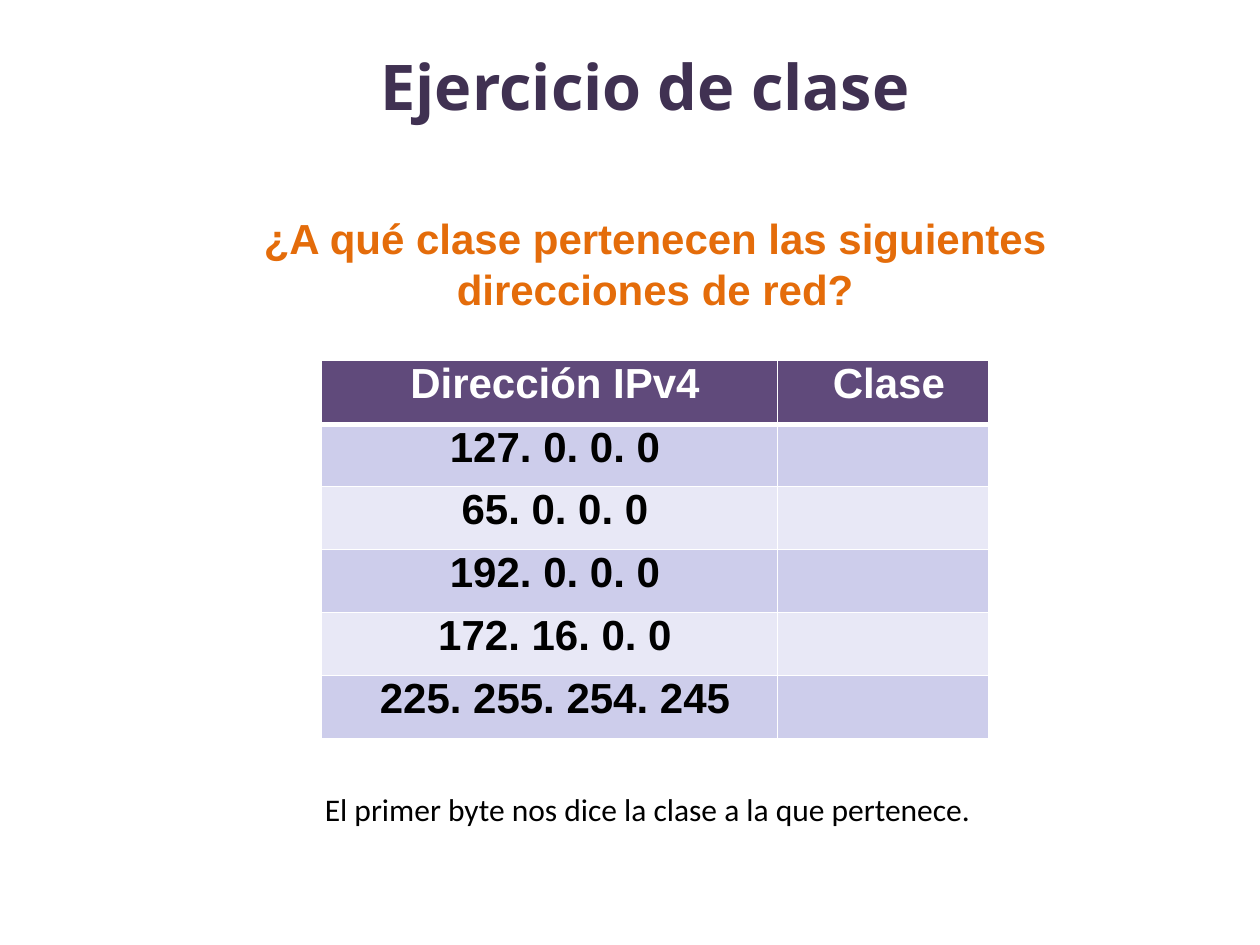
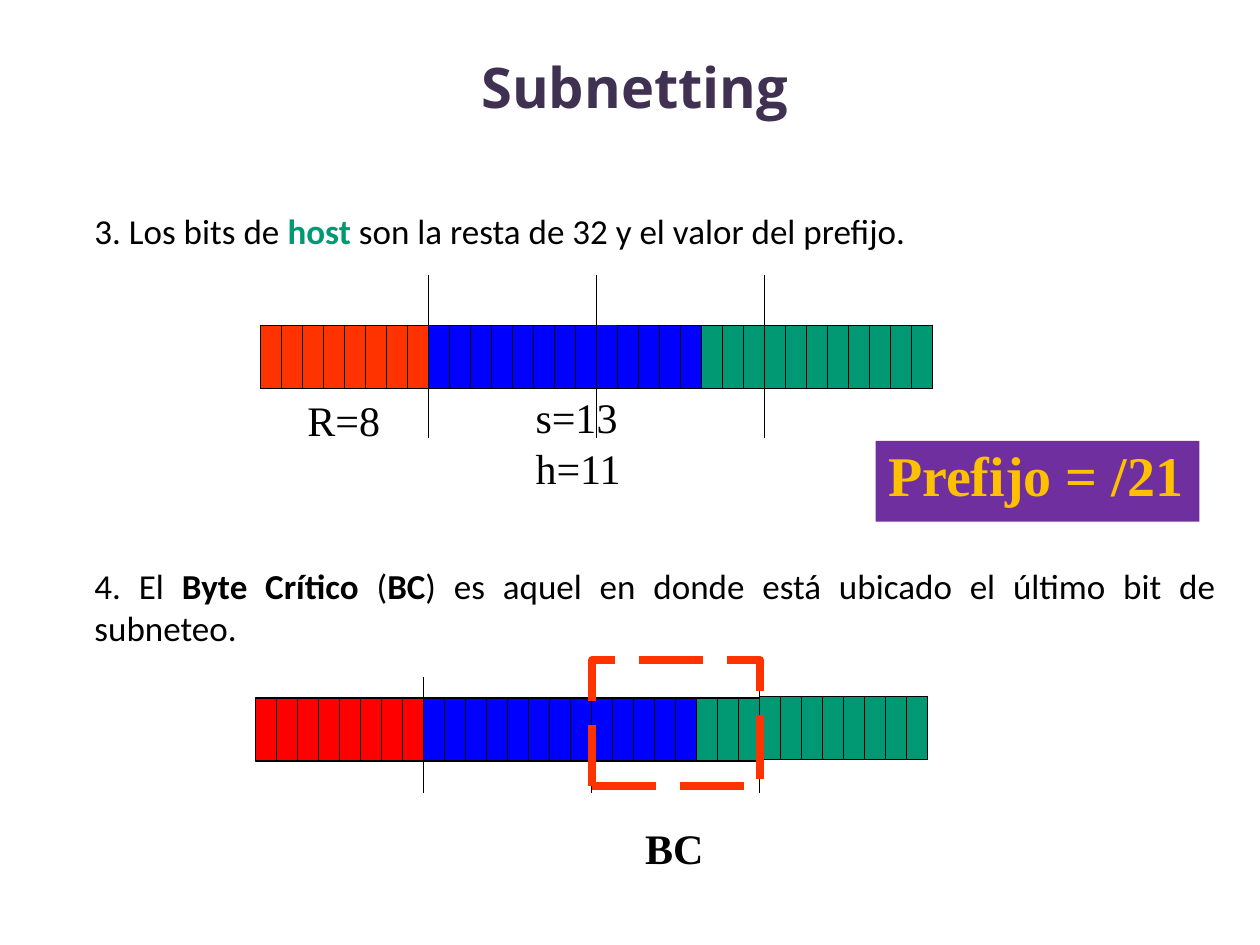
from dataclasses import dataclass

from lxml.etree import SubElement
from pptx import Presentation
from pptx.dml.color import RGBColor
from pptx.enum.dml import MSO_LINE
from pptx.enum.shapes import MSO_CONNECTOR as Connector, MSO_SHAPE as Preset
from pptx.enum.text import MSO_ANCHOR as Anchor, MSO_AUTO_SIZE as AutoSize, PP_ALIGN as Align
from pptx.oxml.ns import qn
from pptx.util import Inches, Pt


@dataclass(frozen=True)
class Theme:
    title: str = "403152"
    question: str = "E46C0A"
    header: str = "604A7B"
    bands: tuple = ("CDCDEB", "E8E8F6")
    black: str = "000000"
    white: str = "FFFFFF"
    orange: str = "FF3300"
    red: str = "FF0000"
    blue: str = "0000FF"
    green: str = "009973"
    badge: str = "6F2F9F"
    gold: str = "FFC000"
    heading_font: str = "Open Sans"
    table_font: str = "Arial"
    body_font: str = "Calibri"
    label_font: str = "Times New Roman"
    title_size: int = 36
    large: int = 32
    medium: int = 24
    body: int = 20
    small: int = 18
    rule: float = 0.72
    frame: float = 4.56


THEME = Theme()
BIT = 1 / 6
BYTE = 8 * BIT
NO_STYLE = "{2D5ABB26-0587-4C30-8999-92F81FD0307C}"


@dataclass(frozen=True)
class Area:
    left: float
    top: float
    width: float
    height: float

    def lengths(self) -> tuple:
        return tuple(Inches(value) for value in (self.left, self.top, self.width, self.height))


@dataclass(frozen=True)
class Style:
    font: str
    size: int
    color: str = THEME.black
    bold: bool = False


@dataclass(frozen=True)
class Span:
    text: str
    style: Style


@dataclass(frozen=True)
class BitGroup:
    count: int
    color: str
    top: float


def rgb(color: str) -> RGBColor:
    return RGBColor.from_string(color)


def apply(target, values: dict) -> None:
    for name, value in values.items():
        setattr(target, name, value)


def write(frame, lines: list, align=Align.LEFT) -> None:
    for number, spans in enumerate(lines):
        para = frame.add_paragraph() if number else frame.paragraphs[0]
        para.alignment = align
        for span in spans:
            run = para.add_run()
            run.text = span.text
            style = span.style
            apply(run.font, {"name": style.font, "size": Pt(style.size), "bold": style.bold})
            run.font.color.rgb = rgb(style.color)


def set_frame(frame, insets: tuple, anchor=Anchor.TOP, auto_size=AutoSize.SHAPE_TO_FIT_TEXT) -> None:
    sides = ("margin_left", "margin_top", "margin_right", "margin_bottom")
    apply(frame, {"word_wrap": True, "auto_size": auto_size, "vertical_anchor": anchor})
    apply(frame, {side: Inches(inset) for side, inset in zip(sides, insets)})


def add_text(page, area: Area, *lines: list, align=Align.LEFT, insets=(0, 0, 0, 0)) -> None:
    frame = page.shapes.add_textbox(*area.lengths()).text_frame
    set_frame(frame, insets)
    write(frame, list(lines), align)


def add_title(page, text: str, area: Area, size: int) -> None:
    frame = page.shapes.add_textbox(*area.lengths()).text_frame
    set_frame(frame, (0.22, 0.05, 0.1, 0.05), Anchor.MIDDLE, AutoSize.NONE)
    write(frame, [[Span(text, Style(THEME.heading_font, size, THEME.title, True))]], Align.CENTER)


def add_rule(page, x: float, top: float, bottom: float) -> None:
    ends = [Inches(value) for value in (x, top, x, bottom)]
    rule = page.shapes.add_connector(Connector.STRAIGHT, *ends)
    rule.line.color.rgb = rgb(THEME.black)
    rule.line.width = Pt(THEME.rule)
    SubElement(rule.element.spPr, qn("a:effectLst"))


def add_rectangle(page, area: Area, fill: str, line: str = ""):
    box = page.shapes.add_shape(Preset.RECTANGLE, *area.lengths())
    box.shadow.inherit = False
    box.fill.solid()
    box.fill.fore_color.rgb = rgb(fill)
    if line:
        box.line.color.rgb = rgb(line)
        box.line.width = Pt(THEME.rule)
    else:
        box.line.fill.background()
    return box


def add_plain_table(page, area: Area, widths: list, heights: list):
    holder = page.shapes.add_table(len(heights), len(widths), *area.lengths())
    for style in holder.element.iter(qn("a:tableStyleId")):
        style.text = NO_STYLE
    table = holder.table
    apply(table, {"first_row": False, "horz_banding": False})
    for column, width in zip(table.columns, widths):
        column.width = Inches(width)
    for row, height in zip(table.rows, heights):
        row.height = Inches(height)
    for cell in table.iter_cells():
        apply(cell, {"margin_left": 0, "margin_top": 0, "margin_right": 0, "margin_bottom": 0})
    return table


def format_cell(cell, borders: dict, color: str, fill: str = "") -> None:
    properties = cell._tc.get_or_add_tcPr()
    for side in "LRTB":
        if side in borders:
            line = SubElement(properties, qn(f"a:ln{side}"), w=str(Pt(borders[side])))
            solid = SubElement(line, qn("a:solidFill"))
            SubElement(solid, qn("a:srgbClr"), val=color)
    if fill:
        cell.fill.solid()
        cell.fill.fore_color.rgb = rgb(fill)


def add_address_table(page) -> None:
    rows = [("Dirección IPv4", "Clase")]
    addresses = ("127. 0. 0. 0", "65. 0. 0. 0", "192. 0. 0. 0", "172. 16. 0. 0", "225. 255. 254. 245")
    rows += [(address, "") for address in addresses]
    table = add_plain_table(page, Area(2.55, 2.86, 5.3, 3), [3.62, 1.68], [0.51, 0.49] + [0.5] * 4)
    for row, texts in enumerate(rows):
        fill = THEME.bands[(row - 1) % 2] if row else THEME.header
        color = THEME.black if row else THEME.white
        borders = {"L": 1, "R": 1, "T": 3 if row == 1 else 1, "B": 1 if row else 3}
        for column, text in enumerate(texts):
            cell = table.cell(row, column)
            cell.margin_left = Inches(0.09)
            format_cell(cell, borders, THEME.white, fill)
            if text:
                style = Style(THEME.table_font, THEME.medium, color, True)
                write(cell.text_frame, [[Span(text, style)]], Align.CENTER)


def add_bit_table(page) -> None:
    table = add_plain_table(page, Area(2.07, 2.18, 32 * BIT, 1.3), [BIT] * 32, [0.4, 0.5, 0.4])
    fills = [THEME.orange] * 8 + [THEME.blue] * 13 + [THEME.green] * 11
    for column, fill in enumerate(fills):
        sides = "LRB" if column == 16 else "LRTB"
        format_cell(table.cell(1, column), dict.fromkeys(sides, THEME.rule), THEME.black, fill)
    for row in (0, 2):
        for start in range(0, 32, 8):
            cell = table.cell(row, start)
            cell.merge(table.cell(row, start + 7))
            format_cell(cell, {"L": THEME.rule} if start else {}, THEME.black)


def add_bit_strip(page, left: float, groups: list) -> None:
    x = left
    for group in groups:
        add_rectangle(page, Area(x, group.top, group.count * BIT, 0.5), group.color, THEME.black)
        for bit in range(1, group.count):
            add_rule(page, x + bit * BIT, group.top, group.top + 0.5)
        x += group.count * BIT
    for byte in (1, 2, 3):
        add_rule(page, left + byte * BYTE, 5.37, 6.29)


def add_critical_frame(page, area: Area) -> None:
    left, top, width, height = area.lengths()
    builder = page.shapes.build_freeform(left, top + height)
    corners = [(left + width, top + height), (left + width, top), (left, top)]
    builder.add_line_segments(corners, close=True)
    frame = builder.convert_to_shape()
    frame.shadow.inherit = False
    frame.fill.background()
    frame.line.color.rgb = rgb(THEME.orange)
    apply(frame.line, {"width": Pt(THEME.frame), "dash_style": MSO_LINE.LONG_DASH})


def build_exercise(page) -> None:
    question = Style(THEME.table_font, THEME.medium, THEME.question, True)
    add_text(page, Area(2.01, 1.69, 6.38, 0.81),
             [Span("¿A qué clase pertenecen las siguientes direcciones de red?", question)],
             align=Align.CENTER)
    add_address_table(page)
    add_title(page, "Ejercicio de clase", Area(0.16, 0.05, 9.8, 1.25), THEME.title_size)
    hint = Style(THEME.body_font, THEME.small)
    add_text(page, Area(2.48, 6.22, 6.46, 0.4),
             [Span("El primer byte nos dice la clase a la que pertenece.", hint)],
             insets=(0.1, 0.05, 0.1, 0.05))


def build_subnetting(page) -> None:
    plain = Style(THEME.body_font, THEME.body)
    strong = Style(THEME.body_font, THEME.body, bold=True)
    host = Style(THEME.body_font, THEME.body, THEME.green, True)
    label = Style(THEME.label_font, THEME.medium)
    add_text(page, Area(0.75, 1.66, 8.26, 0.34),
             [Span("3. Los bits de ", plain), Span("host ", host),
              Span("son la resta de 32 y el valor del prefijo.", plain)])
    add_text(page, Area(0.75, 4.48, 8.9, 0.67),
             [Span("4. El ", plain), Span("Byte Crítico ", strong), Span("(", plain), Span("BC", strong),
              Span(") es aquel en donde está ubicado el último bit de subneteo.", plain)],
             align=Align.JUSTIFY)
    groups = [BitGroup(8, THEME.red, 5.54), BitGroup(8, THEME.blue, 5.54), BitGroup(5, THEME.blue, 5.54),
              BitGroup(3, THEME.green, 5.54), BitGroup(8, THEME.green, 5.53)]
    add_bit_strip(page, 2.03, groups)
    add_critical_frame(page, Area(4.7, 5.24, BYTE, 1))
    add_text(page, Area(2.44, 3.13, 0.7, 0.36), [Span("R=8", label)])
    add_text(page, Area(4.25, 3.11, 2.72, 0.77), [Span("s=13", label)], [Span("h=11", label)])
    add_text(page, Area(5.12, 6.53, 0.55, 0.36),
             [Span("BC", Style(THEME.label_font, THEME.medium, bold=True))])
    add_bit_table(page)
    add_title(page, "Subnetting", Area(0.08, 0.06, 9.8, 1.25), THEME.large)
    badge = add_rectangle(page, Area(6.95, 3.5, 2.57, 0.64), THEME.badge)
    set_frame(badge.text_frame, (0.1, 0, 0, 0), auto_size=AutoSize.NONE)
    write(badge.text_frame,
          [[Span("Prefijo = /21", Style(THEME.label_font, THEME.large, THEME.gold, True))]])


deck = Presentation()
deck.slide_width, deck.slide_height = Inches(10), Inches(7.5)
for build in (build_exercise, build_subnetting):
    build(deck.slides.add_slide(deck.slide_layouts[6]))
deck.save("out.pptx")
